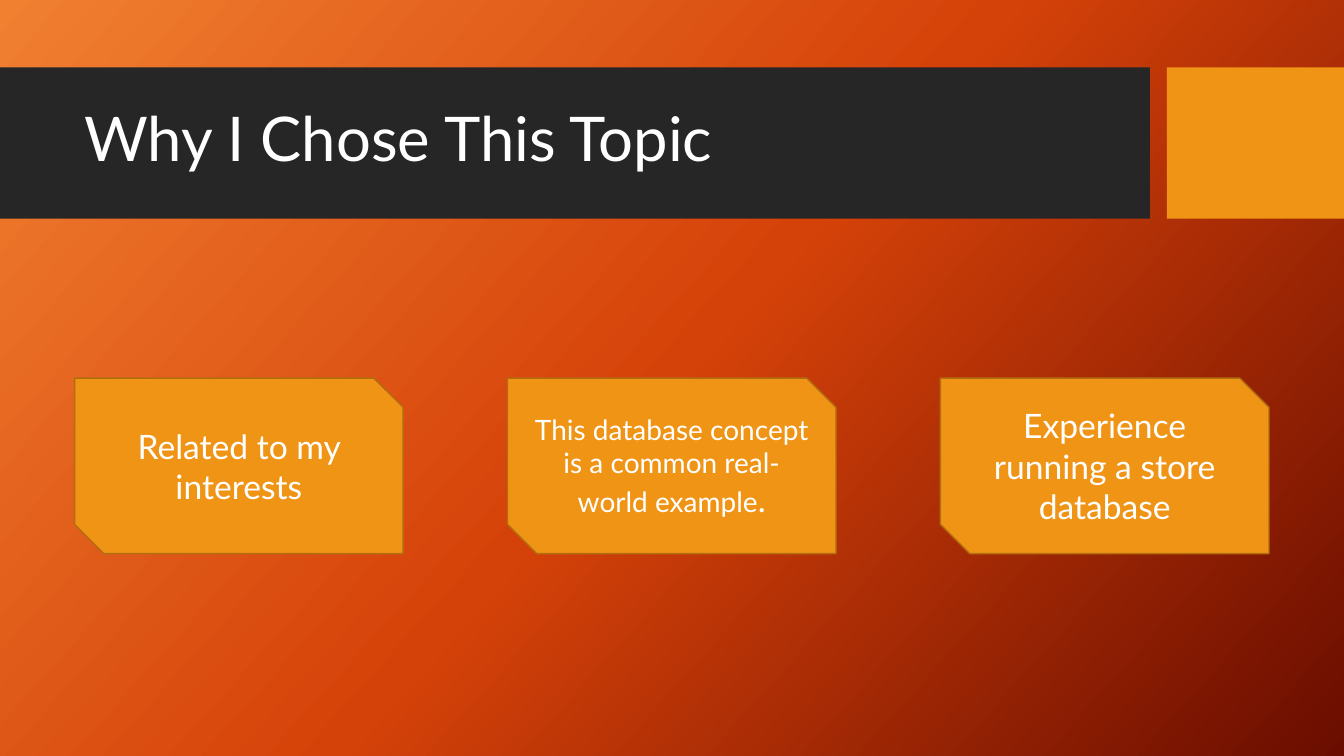
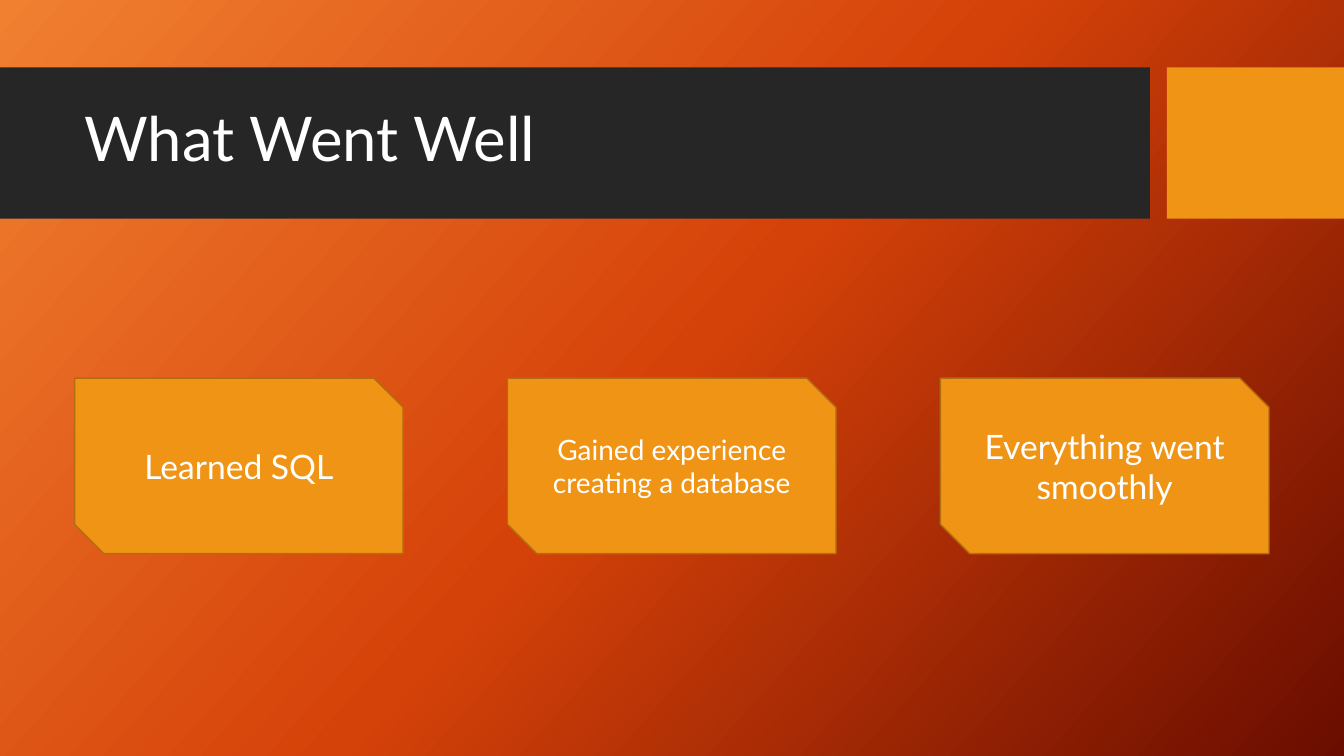
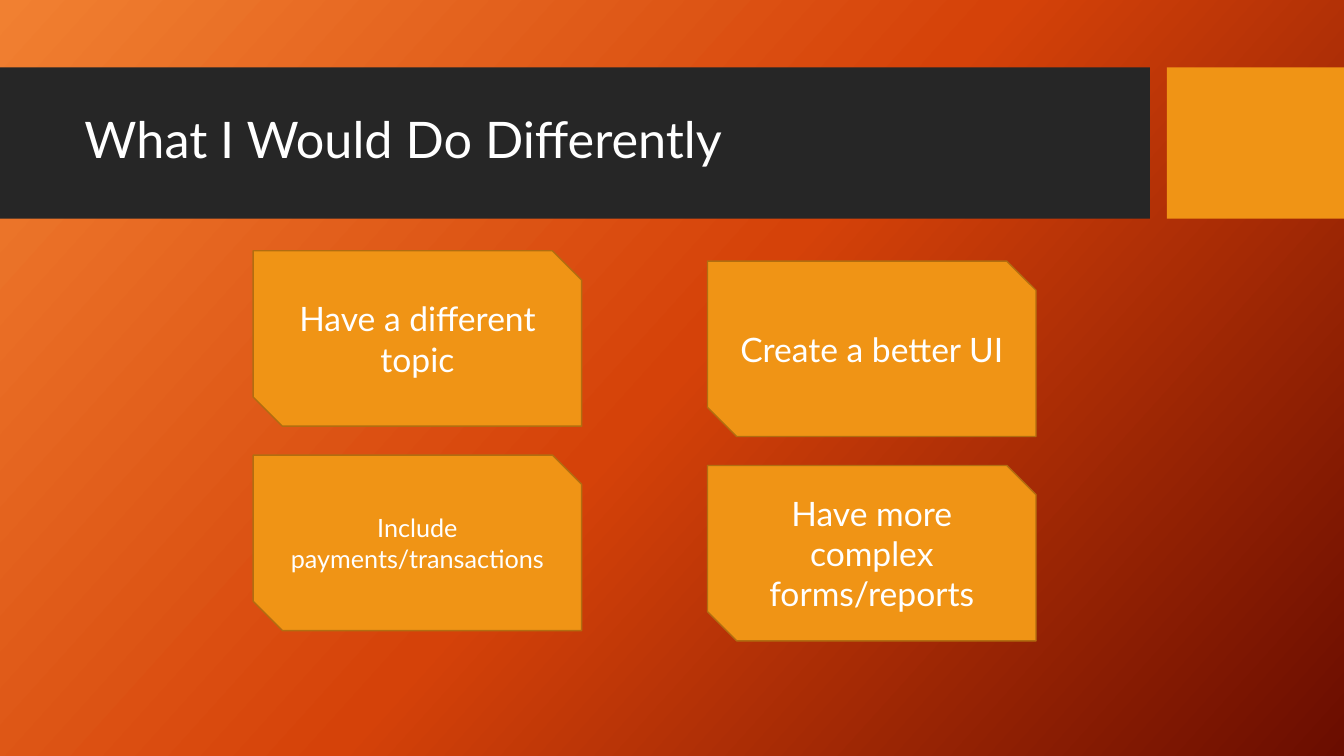
"""Build three slides of snipped cards under a shared title band."""
from copy import deepcopy
from dataclasses import dataclass

from pptx import Presentation
from pptx.dml.color import RGBColor
from pptx.enum.shapes import MSO_SHAPE as Kind
from pptx.enum.text import MSO_ANCHOR as Anchor, PP_ALIGN as Align
from pptx.oxml.ns import qn
from pptx.shapes.autoshape import Shape
from pptx.slide import Slide, SlideMaster
from pptx.util import Cm, Pt

FONT = "Lato"
WHITE = RGBColor(0xFF, 0xFF, 0xFF)
DARK = RGBColor(0x26, 0x26, 0x26)
AMBER = RGBColor(0xF0, 0x94, 0x15)
EDGE = RGBColor(0xB2, 0x6D, 0x10)
GLOW = (
    (0, RGBColor(0xF1, 0x80, 0x31)),
    (0.5, RGBColor(0xD5, 0x42, 0x09)),
    (1, RGBColor(0x6A, 0x0D, 0x00)),
)
TILT = 42
WIDE, HIGH = 33.87, 19.05
CARD_W, CARD_H = 8.28, 4.42


@dataclass(frozen=True)
class Box:
    left: float
    top: float
    width: float
    height: float

    def size(self) -> tuple[Cm, Cm, Cm, Cm]:
        return Cm(self.left), Cm(self.top), Cm(self.width), Cm(self.height)


@dataclass(frozen=True)
class Run:
    text: str
    size: int = 24


@dataclass(frozen=True)
class Grid:
    left: float
    top: float
    step_x: float
    step_y: float = 0
    drop: float = 0

    def cell(self, col: int, row: int) -> Box:
        left = self.left + col * self.step_x
        top = self.top + row * self.step_y + col * self.drop
        return Box(left, top, CARD_W, CARD_H)


@dataclass(frozen=True)
class Page:
    title: Run
    grid: Grid
    cols: tuple[tuple[tuple[Run, ...], ...], ...]


BAND = Box(0, 1.7, 28.98, 3.81)
BLOCK = Box(29.41, 1.7, WIDE - 29.41, 3.81)
TITLE = Box(1.88, 2.08, 26.7, 3)
LINE = Grid(1.88, 9.53, 10.91)
PAIRS = Grid(6.38, 6.32, 11.45, 5.15, 0.26)

PAGES = (
    Page(Run("Why I Chose This Topic", 44), LINE, (
        ((Run("Related to my interests"),),),
        ((Run("This database concept is a common real-world example", 20), Run(".")),),
        ((Run("Experience running a store database"),),),
    )),
    Page(Run("What Went Well", 44), LINE, (
        ((Run("Learned SQL"),),),
        ((Run("Gained experience creating a database", 20),),),
        ((Run("Everything went smoothly"),),),
    )),
    Page(Run("What I Would Do Differently", 36), PAIRS, (
        ((Run("Have a different topic"),), (Run("Include payments/transactions", 18),)),
        ((Run("Create a better UI"),), (Run("Have more complex forms/reports"),)),
    )),
)


def paint(master: SlideMaster) -> None:
    fill = master.background.fill
    fill.gradient()
    fill.gradient_angle = 360 - TILT
    stops = master.element.find(".//" + qn("a:gsLst"))
    stops.append(deepcopy(stops[0]))
    for stop, (spot, color) in zip(fill.gradient_stops, GLOW):
        stop.position = spot
        stop.color.rgb = color


def write(shape: Shape, runs: tuple[Run, ...], align: Align, space: float) -> None:
    frame = shape.text_frame
    frame.word_wrap = True
    frame.vertical_anchor = Anchor.MIDDLE
    para = frame.paragraphs[0]
    para.alignment = align
    para.line_spacing = space
    for item in runs:
        run = para.add_run()
        run.text = item.text
        run.font.name = FONT
        run.font.size = Pt(item.size)
        run.font.color.rgb = WHITE


def block(slide: Slide, box: Box, color: RGBColor, kind: Kind = Kind.RECTANGLE) -> Shape:
    shape = slide.shapes.add_shape(kind, *box.size())
    shape.shadow.inherit = False
    shape.fill.solid()
    shape.fill.fore_color.rgb = color
    shape.line.fill.background()
    return shape


def card(slide: Slide, box: Box, runs: tuple[Run, ...]) -> None:
    shape = block(slide, box, AMBER, Kind.SNIP_2_DIAG_RECTANGLE)
    shape.line.color.rgb = EDGE
    shape.line.width = Pt(1)
    write(shape, runs, Align.CENTER, 1.0)


def draw(slide: Slide, page: Page) -> None:
    block(slide, BAND, DARK)
    block(slide, BLOCK, AMBER)
    title = slide.shapes.add_textbox(*TITLE.size())
    write(title, (page.title,), Align.LEFT, 0.9)
    for col, cards in enumerate(page.cols):
        for row, runs in enumerate(cards):
            card(slide, page.grid.cell(col, row), runs)


def main() -> None:
    deck = Presentation()
    deck.slide_width, deck.slide_height = Cm(WIDE), Cm(HIGH)
    paint(deck.slide_master)
    for page in PAGES:
        draw(deck.slides.add_slide(deck.slide_layouts[6]), page)
    deck.save("out.pptx")


if __name__ == "__main__":
    main()
